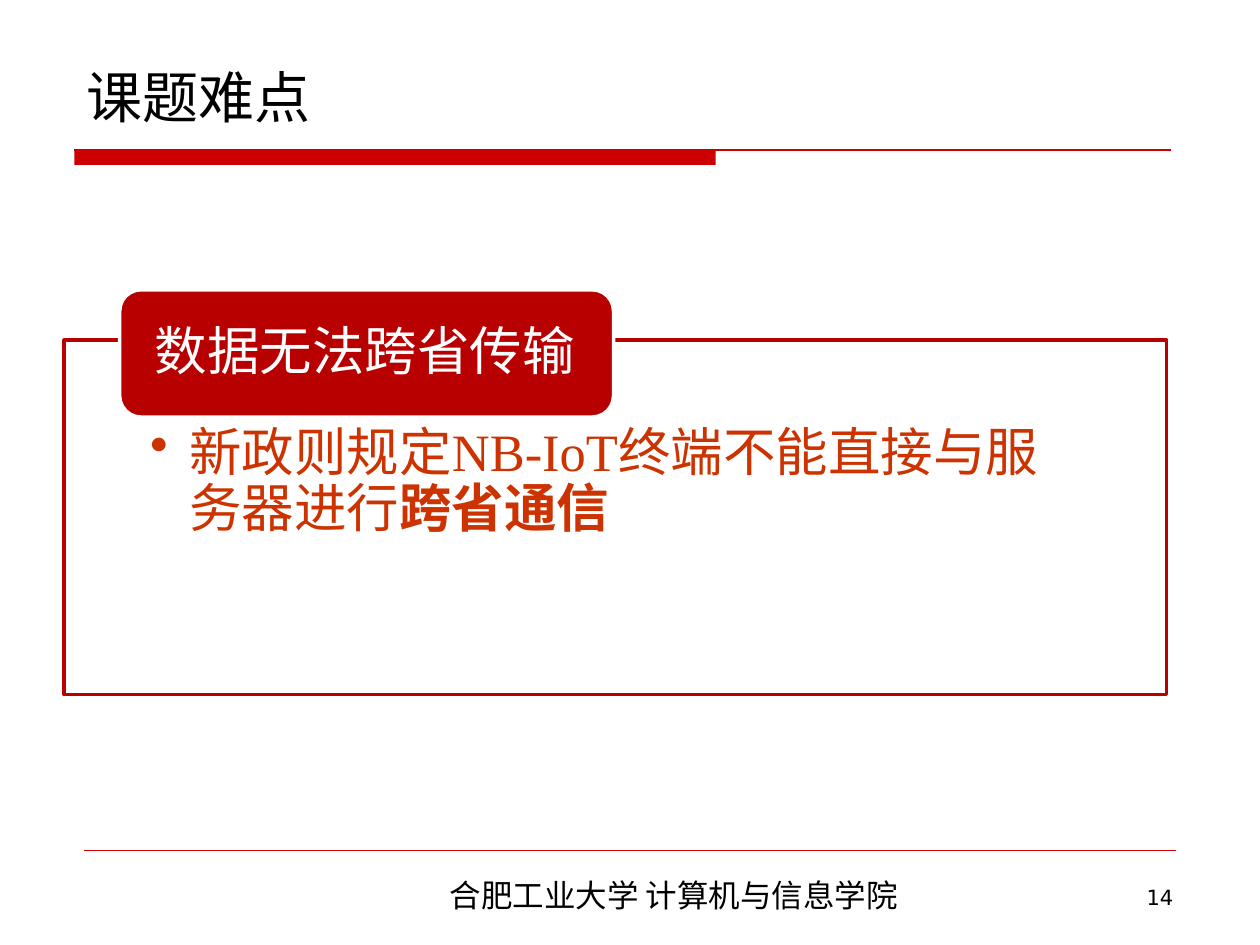
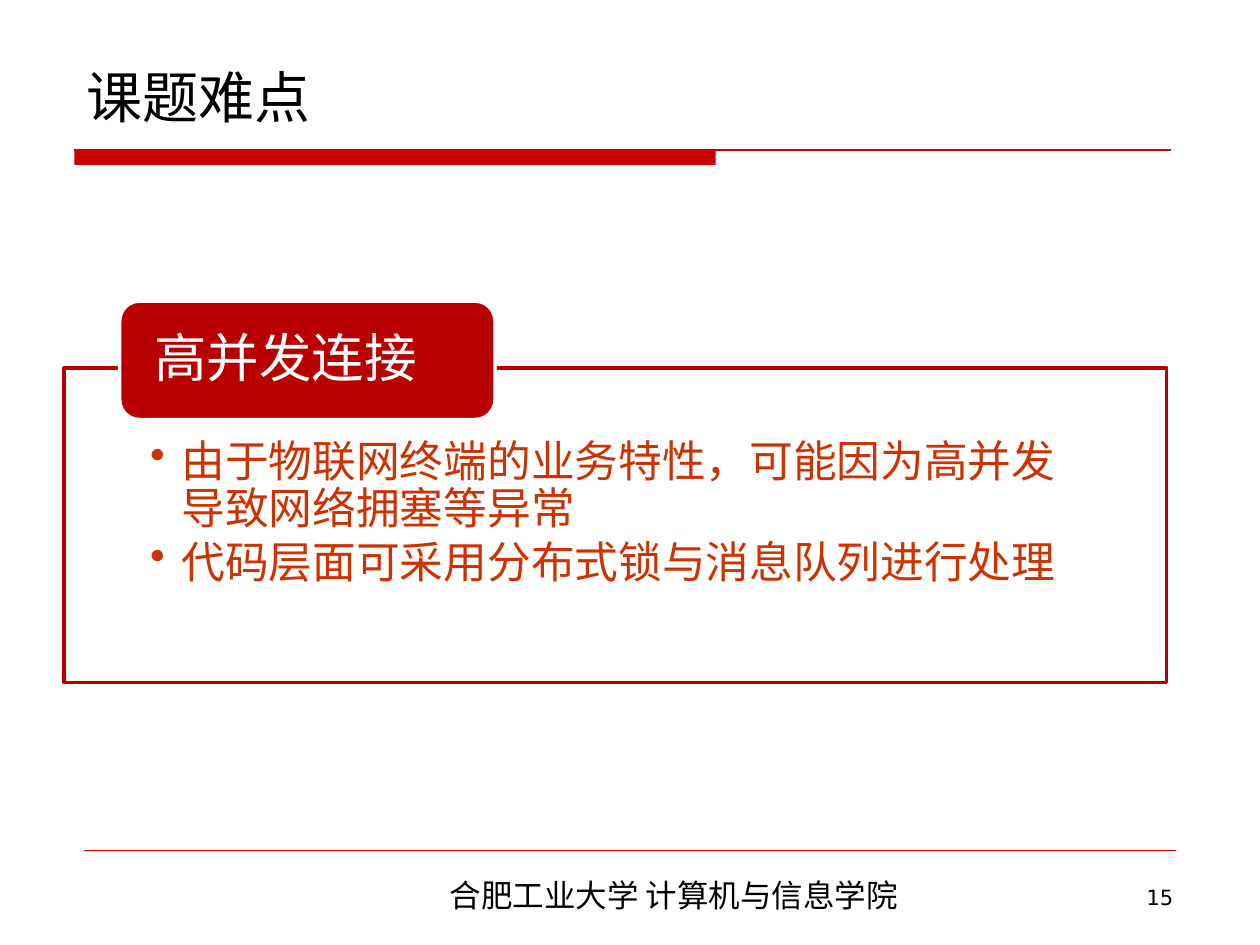
import pptx
import pptx.dml.color
import pptx.enum.shapes
import pptx.enum.text
import pptx.oxml
import pptx.oxml.ns
import pptx.util

Pt = pptx.util.Pt
KIND = pptx.enum.shapes.MSO_SHAPE
ALIGN = pptx.enum.text.PP_ALIGN
MID = pptx.enum.text.MSO_ANCHOR
NS = pptx.oxml.ns.nsdecls("a")

HUES = {"band": "CC0000", "deep": "B90000", "body": "CC3300",
        "white": "FFFFFF", "black": "000000"}
SANS, SERIF, HAN = "DejaVu Sans", "Times New Roman", "Noto Sans CJK SC"


class Deck:
    def __init__(self):
        self.show = pptx.Presentation()
        self.show.slide_width = Pt(720)
        self.show.slide_height = Pt(540)
        self.slide = None

    def hue(self, name):
        return pptx.dml.color.RGBColor.from_string(HUES[name])

    def page(self, title, number):
        self.slide = self.show.slides.add_slide(self.show.slide_layouts[6])
        self.line(42.5, 668.9, 85.7, 0.75)
        self.shape(KIND.RECTANGLE, (42.5, 85.7, 366.5, 8.6), "band")
        self.line(48.2, 671.8, 486, 0.25)
        self.text((167, 496.8, 436.3, 28.8), "合肥工业大学 计算机与信息学院",
                  18, HAN, ALIGN.CENTER)
        self.text((569.5, 501.8, 108, 20.9), str(number), 12, SANS, ALIGN.RIGHT)
        self.text((42.5, 18.7, 630, 59), title, 32, SANS, ALIGN.LEFT, MID.BOTTOM)

    def line(self, left, right, top, width):
        rule = self.slide.shapes.add_connector(
            pptx.enum.shapes.MSO_CONNECTOR.STRAIGHT, Pt(left), Pt(top), Pt(right), Pt(top))
        rule.line.color.rgb = self.hue("band")
        rule.line.width = Pt(width)
        props = rule._element.spPr
        props.append(pptx.oxml.parse_xml(f"<a:effectLst {NS}/>"))

    def shape(self, kind, box, fill, edge=None):
        item = self.slide.shapes.add_shape(kind, *map(Pt, box))
        item.shadow.inherit = False
        item.fill.solid()
        item.fill.fore_color.rgb = self.hue(fill)
        if edge:
            item.line.color.rgb = self.hue(edge)
            item.line.width = Pt(2)
        else:
            item.line.fill.background()
        return item

    def run(self, para, words, size, font, color, bold=False):
        run = para.add_run()
        run.text = words
        run.font.size = Pt(size)
        run.font.name = font
        run.font.bold = bold
        run.font.color.rgb = self.hue(color)
        latin = run._r.rPr.find(pptx.oxml.ns.qn("a:latin"))
        latin.addnext(pptx.oxml.parse_xml(f'<a:ea {NS} typeface="{HAN}"/>'))

    def text(self, box, words, size, font, align, anchor=MID.TOP):
        frame = self.slide.shapes.add_textbox(*map(Pt, box)).text_frame
        frame.word_wrap = True
        frame.vertical_anchor = anchor
        para = frame.paragraphs[0]
        para.alignment = align
        self.run(para, words, size, font, "black")

    def inset(self, frame, left, top, right, base):
        frame.word_wrap = True
        frame.margin_left, frame.margin_top = Pt(left), Pt(top)
        frame.margin_right, frame.margin_bottom = Pt(right), Pt(base)

    def panel(self, top, height, size, pad, indent, points):
        card = self.shape(KIND.RECTANGLE, (36.7, top, 630, height), "white", "deep")
        tint = card._element.spPr.find(".//" + pptx.oxml.ns.qn("a:srgbClr"))
        tint.append(pptx.oxml.parse_xml(f'<a:alpha {NS} val="90000"/>'))
        frame = card.text_frame
        self.inset(frame, 49, pad, 49, pad / 3)
        frame.vertical_anchor = MID.TOP
        for index, runs in enumerate(points):
            para = frame.add_paragraph() if index else frame.paragraphs[0]
            para.alignment = ALIGN.LEFT
            para.line_spacing = 0.9
            para.space_after = Pt(size * 0.15)
            props = para._p.get_or_add_pPr()
            props.set("marL", str(Pt(indent)))
            props.set("indent", str(-Pt(indent)))
            props.append(pptx.oxml.parse_xml(f'<a:buChar {NS} char="•"/>'))
            for words, bold in runs:
                self.run(para, words, size, SERIF, "body", bold)

    def label(self, top, width, height, words):
        tag = self.shape(KIND.ROUNDED_RECTANGLE, (68.4, top, width, height), "deep", "white")
        frame = tag.text_frame
        self.inset(frame, 16.5, 0, 16.5, 0)
        frame.vertical_anchor = MID.MIDDLE
        para = frame.paragraphs[0]
        para.alignment = ALIGN.LEFT
        para.line_spacing = 0.9
        self.run(para, words, 30, SERIF, "white")


def main():
    deck = Deck()
    deck.page("课题难点", 14)
    deck.panel(194.4, 202.5, 30, 49, 22.5,
               [[("新政则规定NB-IoT终端不能直接与服务器进行", False), ("跨省通信", True)]])
    deck.label(165.6, 282.2, 72.7, "数据无法跨省传输")

    deck.page("课题难点", 15)
    deck.panel(210.2, 180, 25, 41, 18,
               [[("由于物联网终端的业务特性，可能因为高并发导致网络拥塞等异常", False)],
                [("代码层面可采用分布式锁与消息队列进行处理", False)]])
    deck.label(172.1, 214.5, 67.7, "高并发连接")
    deck.show.save("out.pptx")


if __name__ == "__main__":
    main()
